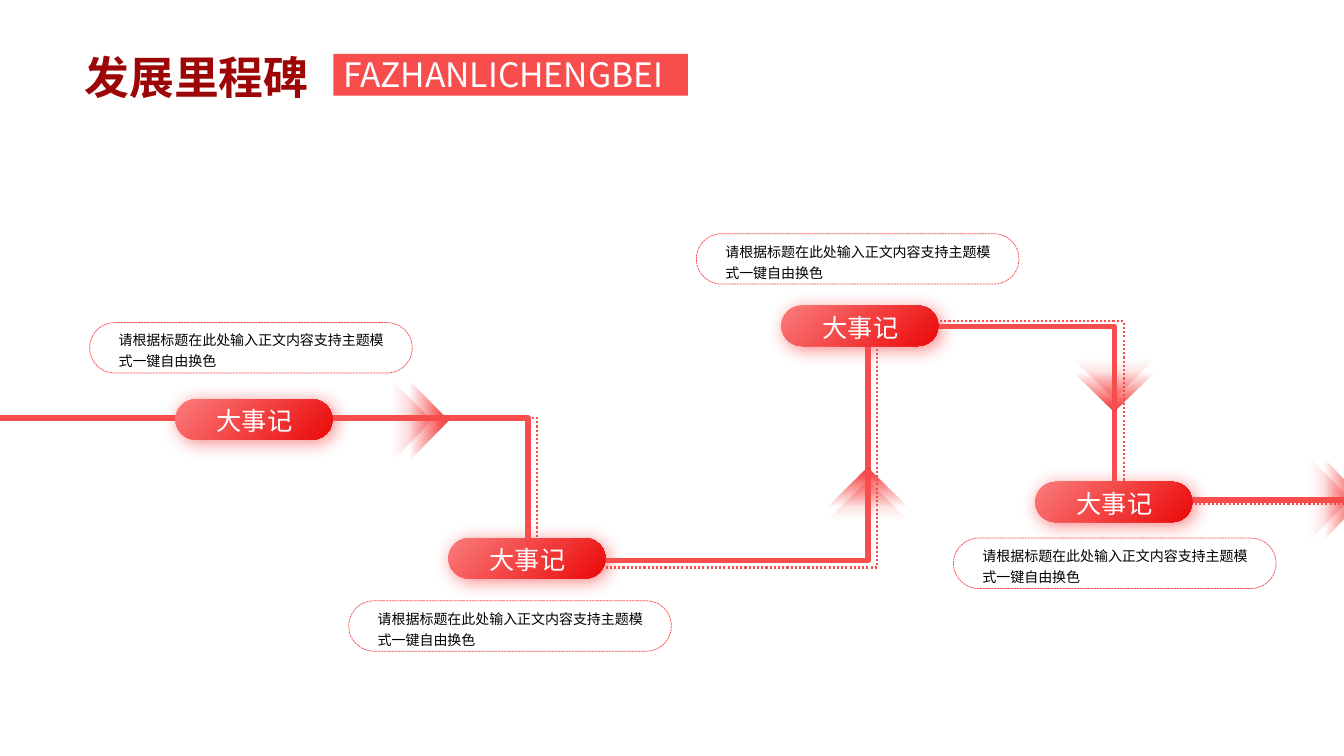
from math import cos, radians, sin

from lxml import etree
from pptx import Presentation
from pptx.dml.color import RGBColor
from pptx.enum import dml, shapes, text
from pptx.oxml import ns
from pptx.util import Cm, Pt

COLORS = {
    "coral": "F84D4D",
    "light": "FA7B7B",
    "red": "EB0909",
    "dark": "9C0606",
    "white": "FFFFFF",
    "black": "000000",
}
SC = "Noto Sans CJK SC"
JP = "Noto Sans CJK JP"
NOTE = "请根据标题在此处输入正文内容支持主题模式一键自由换色"

MILESTONES = [
    ((4.42, 10.06), (2.26, 8.13)),
    ((11.3, 13.56), (8.79, 15.14)),
    ((19.69, 7.7), (17.55, 5.89)),
    ((26.09, 12.14), (24.03, 13.56)),
]
ARROWS = [
    (9.8, 10.11, 90, 0.43),
    (20.85, 11.79, 0, 0.33),
    (27.05, 9.4, 180, 0.33),
    (32.84, 12.09, 90, 0.33),
]


def rgb(name):
    return RGBColor.from_string(COLORS[name])


def add_gradient(fill, stops, angle):
    fill.gradient()
    fill.gradient_angle = 360 - angle
    for stop, (position, color, alpha) in zip(fill.gradient_stops, stops):
        stop.position = position
        stop.color.rgb = rgb(color)
        if alpha < 100:
            tint = stop._gs.find(ns.qn("a:srgbClr"))
            etree.SubElement(tint, ns.qn("a:alpha"), val=str(alpha * 1000))


def add_glow(shape):
    effects = shape._element.spPr.find(ns.qn("a:effectLst"))
    glow = etree.SubElement(effects, ns.qn("a:outerShdw"), blurRad=str(Pt(13)),
                            dist=str(Pt(3)), dir="2700000", algn="tl", rotWithShape="0")
    tint = etree.SubElement(glow, ns.qn("a:srgbClr"), val=COLORS["coral"])
    etree.SubElement(tint, ns.qn("a:alpha"), val="70000")


def add_outline(shape, width, dash=None):
    shape.fill.background()
    shape.line.color.rgb = rgb("coral")
    shape.line.width = Pt(width)
    if dash:
        shape.line.dash_style = dash


def add_block(page, kind, left, top, width, height):
    shape = page.shapes.add_shape(kind, Cm(left), Cm(top), Cm(width), Cm(height))
    shape.shadow.inherit = False
    shape.line.fill.background()
    return shape


def add_capsule(page, left, top, width, height):
    shape = add_block(page, shapes.MSO_SHAPE.ROUNDED_RECTANGLE, left, top, width, height)
    shape.adjustments[0] = 0.5
    return shape


def add_text(page, words, left, top, width, height, *, size, font, color="black",
             gradient=None, bold=False, align=None, middle=False, inset=True, spacing=None):
    box = page.shapes.add_textbox(Cm(left), Cm(top), Cm(width), Cm(height))
    frame = box.text_frame
    frame.word_wrap = True
    frame.auto_size = text.MSO_AUTO_SIZE.SHAPE_TO_FIT_TEXT
    if middle:
        frame.vertical_anchor = text.MSO_ANCHOR.MIDDLE
    if not inset:
        frame.margin_left = frame.margin_right = frame.margin_top = frame.margin_bottom = 0
    para = frame.paragraphs[0]
    para.alignment = align
    if spacing:
        para.line_spacing = Pt(spacing)
    span = para.add_run()
    span.text = words
    span.font.size = Pt(size)
    span.font.bold = bold
    if gradient:
        add_gradient(span.font.fill, gradient, 225)
    else:
        span.font.color.rgb = rgb(color)
    span.font.name = font
    etree.SubElement(span.font._element, ns.qn("a:ea"), typeface=font)


def add_route(page, xs, ys, width, dash=None):
    start, *turns, end = xs
    points = [(start, ys[0])]
    for x, before, after in zip(turns, ys, ys[1:]):
        points += [(x, before), (x, after)]
    points.append((end, ys[-1]))
    first, *rest = [(Cm(x), Cm(y)) for x, y in points]
    builder = page.shapes.build_freeform(*first)
    builder.add_line_segments(rest, close=False)
    route = builder.convert_to_shape()
    route.shadow.inherit = False
    add_outline(route, width, dash)


def add_milestone(page, pill, note):
    left, top = pill
    capsule = add_capsule(page, left, top, 3.96, 1.02)
    add_gradient(capsule.fill, [(0, "light", 100), (1, "red", 100)], 45)
    add_glow(capsule)
    add_text(page, "大事记", left + 0.52, top + 0.04, 2.95, 1.02, size=18, font=SC,
             color="white", align=text.PP_ALIGN.CENTER)
    left, top = note
    add_outline(add_capsule(page, left, top, 8.13, 1.27), 0.5, dml.MSO_LINE.SQUARE_DOT)
    add_text(page, NOTE, left + 0.73, top + 0.14, 6.73, 1.04, size=10, font=JP,
             middle=True, inset=False, spacing=15)


def add_arrow(page, left, top, turn, gap):
    angle = radians(turn)
    for step, alpha in ((gap, 38), (0, 100)):
        head = add_block(page, shapes.MSO_SHAPE.ISOSCELES_TRIANGLE,
                         left - step * sin(angle), top + step * cos(angle), 2.03, 0.97)
        head.rotation = turn
        add_gradient(head.fill, [(0.18, "coral", alpha), (1, "coral", 0)], 90)


def add_heading(page):
    add_text(page, "发展里程碑", 1.88, 1.12, 8.81, 1.63, size=32, font=SC, bold=True,
             gradient=[(0, "dark", 100), (1, "coral", 100)])
    banner = add_block(page, shapes.MSO_SHAPE.RECTANGLE, 8.4, 1.36, 8.94, 1.05)
    banner.fill.solid()
    banner.fill.fore_color.rgb = rgb("coral")
    add_text(page, "FAZHANLICHENGBEI", 8.4, 1.24, 8.94, 1.27, size=24, font=JP,
             color="white", align=text.PP_ALIGN.JUSTIFY, middle=True)


def main():
    deck = Presentation()
    deck.slide_width, deck.slide_height = Cm(33.87), Cm(19.05)
    page = deck.slides.add_slide(deck.slide_layouts[6])
    add_route(page, [-0.48, 13.54, 22.1, 28.32, 36.04], [10.54, 14.3, 8.1, 12.7],
              1.5, dml.MSO_LINE.ROUND_DOT)
    add_route(page, [-0.71, 13.31, 21.87, 28.09, 35.81], [10.54, 14.12, 8.23, 12.6], 4)
    for pill, note in MILESTONES:
        add_milestone(page, pill, note)
    add_heading(page)
    for arrow in ARROWS:
        add_arrow(page, *arrow)
    deck.save("out.pptx")


if __name__ == "__main__":
    main()
